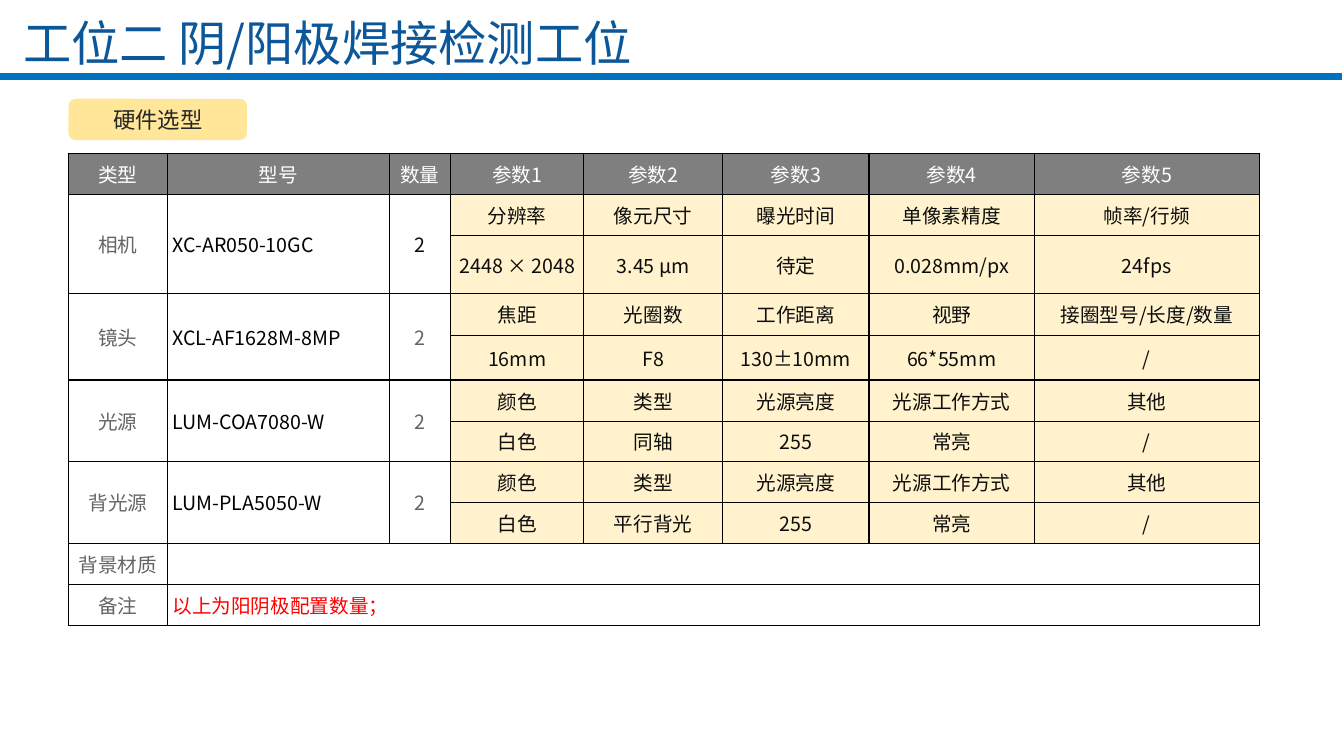
from lxml import etree
from pptx import Presentation
from pptx.dml.color import RGBColor
from pptx.enum.shapes import MSO_CONNECTOR as Connector, MSO_SHAPE as Shape
from pptx.enum.text import MSO_ANCHOR as Anchor, MSO_AUTO_SIZE as AutoSize, PP_ALIGN as Align
from pptx.oxml import parse_xml
from pptx.oxml.ns import nsdecls, qn
from pptx.util import Inches, Pt

FONT = "Noto Sans CJK SC"
COLORS = {
    "title": "0C5799", "rule": "0070C0", "badge": "FFE699", "badge_text": "262626",
    "header": "7F7F7F", "parameter": "FFF2CC", "white": "FFFFFF", "border": "000000",
    "label": "646464", "model": "000000", "value": "0D0D0D", "remark": "FF0000",
}

TITLE = "工位二 阴/阳极焊接检测工位"
SECTION = "硬件选型"
HEADERS = ["类型", "型号", "数量", "参数1", "参数2", "参数3", "参数4", "参数5"]
LIGHT_PARAMETERS = ["颜色", "类型", "光源亮度", "光源工作方式", "其他"]
DEVICES = [
    ("相机", "XC-AR050-10GC", "2", "value",
     ["分辨率", "像元尺寸", "曝光时间", "单像素精度", "帧率/行频"],
     ["2448 × 2048", "3.45 µm", "待定", "0.028mm/px", "24fps"]),
    ("镜头", "XCL-AF1628M-8MP", "2", "label",
     ["焦距", "光圈数", "工作距离", "视野", "接圈型号/长度/数量"],
     ["16mm", "F8", "130±10mm", "66*55mm", "/"]),
    ("光源", "LUM-COA7080-W", "2", "label", LIGHT_PARAMETERS,
     ["白色", "同轴", "255", "常亮", "/"]),
    ("背光源", "LUM-PLA5050-W", "2", "label", LIGHT_PARAMETERS,
     ["白色", "平行背光", "255", "常亮", "/"]),
]
FOOTERS = [("背景材质", ""), ("备注", "以上为阳阴极配置数量；")]
COLUMN_WIDTHS = [0.98, 2.2, 0.61, 1.32, 1.38, 1.45, 1.64, 2.23]
ROW_HEIGHTS = [0.41, 0.41, 0.57, 0.42, 0.44, 0.41, 0.4, 0.41, 0.4, 0.41, 0.41]
LEFT = 0.68


def rgb(name):
    return RGBColor.from_string(COLORS[name])


def write(frame, text, size=14, color="value", align=Align.CENTER):
    paragraph = frame.paragraphs[0]
    paragraph.alignment = align
    run = paragraph.add_run()
    run.text = text
    run.font.size = Pt(size)
    run.font.name = FONT
    run.font.color.rgb = rgb(color)
    etree.SubElement(run.font._element, qn("a:ea"), typeface=FONT)


def add_borders(cell):
    properties = cell._tc.get_or_add_tcPr()
    for index, side in enumerate(("lnL", "lnR", "lnT", "lnB")):
        properties.insert(index, parse_xml(
            f'<a:{side} {nsdecls("a")} w="12700"><a:solidFill>'
            f'<a:srgbClr val="{COLORS["border"]}"/></a:solidFill></a:{side}>'))


def fill_cell(cell, text, fill="white", **text_format):
    write(cell.text_frame, text, **text_format)
    cell.fill.solid()
    cell.fill.fore_color.rgb = rgb(fill)


def add_title(slide):
    title = slide.shapes.title
    title.left, title.top = Inches(0.13), Inches(0.13)
    title.width, title.height = Inches(12), Inches(0.58)
    frame = title.text_frame
    frame.auto_size = AutoSize.NONE
    frame.vertical_anchor = Anchor.MIDDLE
    write(frame, TITLE, size=34.5, color="title", align=Align.LEFT)

    rule = slide.shapes.add_connector(
        Connector.STRAIGHT, Inches(-0.02), Inches(0.76), Inches(13.31), Inches(0.76))
    rule.line.color.rgb = rgb("rule")
    rule.line.width = Pt(4.75)
    etree.SubElement(rule._element.spPr, qn("a:effectLst"))


def add_hardware_table(slide):
    table = slide.shapes.add_table(
        len(ROW_HEIGHTS), len(COLUMN_WIDTHS), Inches(LEFT), Inches(1.52),
        Inches(sum(COLUMN_WIDTHS)), Inches(sum(ROW_HEIGHTS))).table
    table.first_row = table.horz_banding = False
    for column, width in zip(table.columns, COLUMN_WIDTHS):
        column.width = Inches(width)
    for row, height in zip(table.rows, ROW_HEIGHTS):
        row.height = Inches(height)
        for column_index, cell in enumerate(row.cells):
            cell.margin_left = cell.margin_right = Inches(0.05 if column_index else 0)
            cell.margin_top = cell.margin_bottom = Inches(0.05)
            cell.vertical_anchor = Anchor.MIDDLE

    for column, header in enumerate(HEADERS):
        fill_cell(table.cell(0, column), header, fill="header", color="white")

    for index, (kind, model, quantity, quantity_color, names, values) in enumerate(DEVICES):
        top = 1 + 2 * index
        for column in range(3):
            table.cell(top, column).merge(table.cell(top + 1, column))
        fill_cell(table.cell(top, 0), kind, color="label")
        fill_cell(table.cell(top, 1), model, color="model", align=Align.LEFT)
        fill_cell(table.cell(top, 2), quantity, color=quantity_color)
        for row, texts in enumerate((names, values), top):
            for column, text in enumerate(texts, 3):
                fill_cell(table.cell(row, column), text, fill="parameter")

    for row, (label, remark) in enumerate(FOOTERS, 1 + 2 * len(DEVICES)):
        table.cell(row, 1).merge(table.cell(row, len(HEADERS) - 1))
        fill_cell(table.cell(row, 0), label, color="label")
        fill_cell(table.cell(row, 1), remark, color="remark", align=Align.LEFT)

    for cell in table.iter_cells():
        add_borders(cell)


def add_section_badge(slide):
    badge = slide.shapes.add_shape(
        Shape.ROUNDED_RECTANGLE, Inches(LEFT), Inches(0.98), Inches(1.77), Inches(0.41))
    badge.shadow.inherit = False
    badge.fill.solid()
    badge.fill.fore_color.rgb = rgb("badge")
    badge.line.fill.background()
    badge.text_frame.vertical_anchor = Anchor.MIDDLE
    write(badge.text_frame, SECTION, size=16, color="badge_text")


def main():
    deck = Presentation()
    deck.slide_width, deck.slide_height = Inches(13.33), Inches(7.5)
    slide = deck.slides.add_slide(deck.slide_layouts[5])
    add_title(slide)
    add_hardware_table(slide)
    add_section_badge(slide)
    deck.save("out.pptx")


if __name__ == "__main__":
    main()
